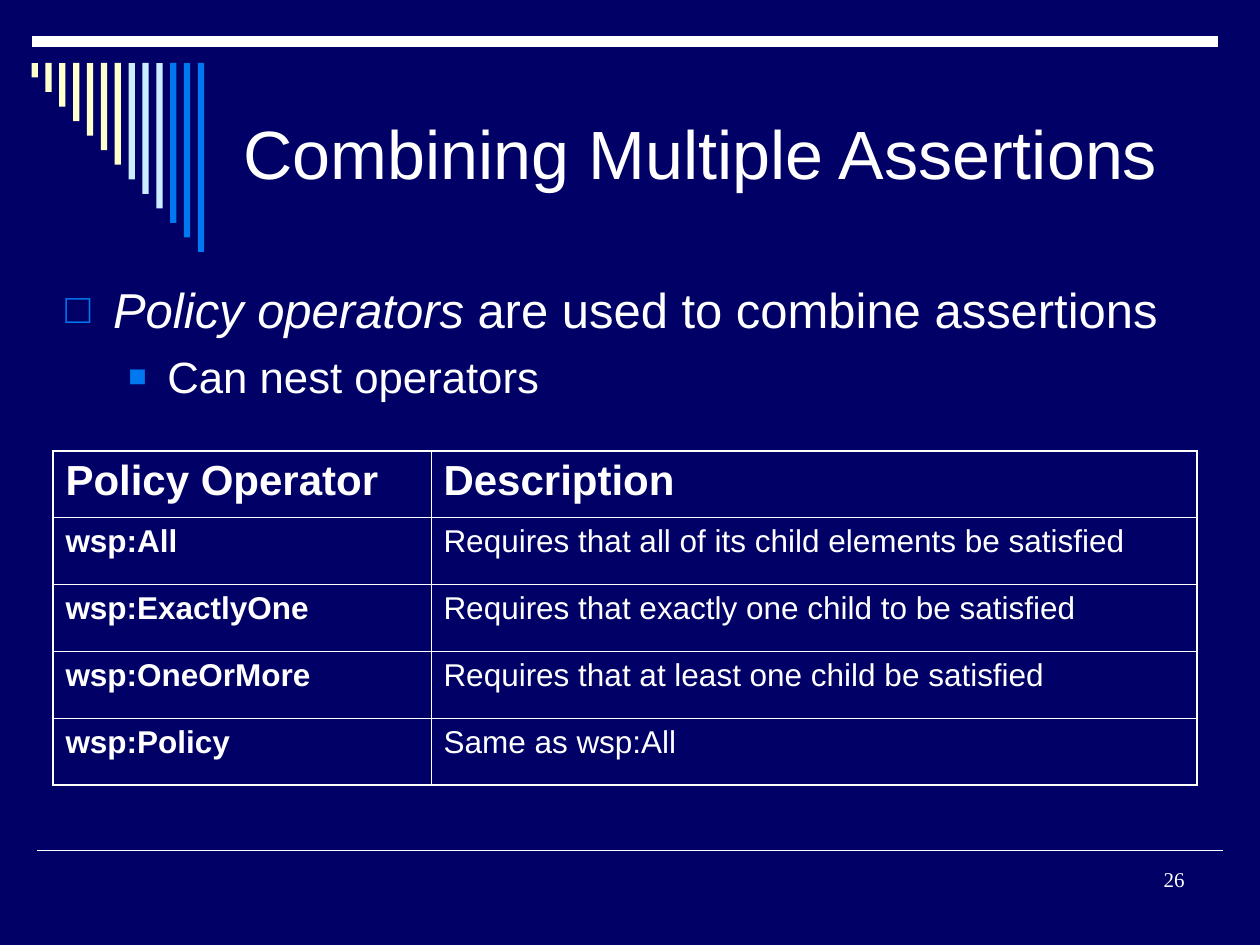
from lxml.etree import SubElement
from pptx import Presentation
from pptx.dml.color import RGBColor
from pptx.enum.shapes import MSO_CONNECTOR, MSO_SHAPE
from pptx.enum.text import MSO_ANCHOR, PP_ALIGN
from pptx.oxml.ns import qn
from pptx.util import Inches, Pt

COLORS = {"navy": "000066", "white": "FFFFFF", "cream": "FFFFCC",
          "pale": "CCECFF", "blue": "0078F0"}
TITLE = "Combining Multiple Assertions"
BULLETS = [
    {"spans": [("Policy operators", True), (" are used to combine assertions", False)],
     "level": 0, "size": 28, "before": 7, "margin": 0.38, "indent": -0.38,
     "symbol": "□", "percent": 85},
    {"spans": [("Can nest operators", False)],
     "level": 1, "size": 25, "before": 6.2, "margin": 0.81, "indent": -0.31,
     "symbol": "■", "percent": 70},
]
OPERATORS = [
    ("Policy Operator", "Description"),
    ("wsp:All", "Requires that all of its child elements be satisfied"),
    ("wsp:ExactlyOne", "Requires that exactly one child to be satisfied"),
    ("wsp:OneOrMore", "Requires that at least one child be satisfied"),
    ("wsp:Policy", "Same as wsp:All"),
]
PAGE_NUMBER = "26"
STRIPES = ["cream"] * 7 + ["pale"] * 3 + ["blue"] * 3
RULES = [(0.29, 6.75, 9.71, 1), (0.25, 0.33, 9.67, 6)]  # left, top, right, points
COLUMN_WIDTHS = (3, 6.08)
ROW_HEIGHT = 0.53
OUTER_BORDER, INNER_BORDER = 1.08, 0.45


def rgb(name):
    return RGBColor.from_string(COLORS[name])


def add_span(para, text, size, name="Arial", **styles):
    span = para.add_run()
    span.text = text
    for key, value in {"size": Pt(size), "name": name, **styles}.items():
        setattr(span.font, key, value)
    span.font.color.rgb = rgb("white")


def add_text_box(page, left, top, width, height):
    box = page.shapes.add_textbox(*map(Inches, (left, top, width, height)))
    box.text_frame.word_wrap = True
    return box.text_frame


def add_rules(page):
    for left, top, right, points in RULES:
        rule = page.shapes.add_connector(
            MSO_CONNECTOR.STRAIGHT, *map(Inches, (left, top, right, top)))
        rule.line.color.rgb = rgb("white")
        rule.line.width = Pt(points)
        SubElement(rule.element.spPr, qn("a:effectLst"))


def add_stripes(page):
    for index, color in enumerate(STRIPES):
        stripe = page.shapes.add_shape(
            MSO_SHAPE.RECTANGLE, Inches(0.25 + 0.11 * index), Inches(0.5),
            Inches(0.05), Inches(1.5 * (index + 1) / len(STRIPES)))
        stripe.shadow.inherit = False
        stripe.fill.solid()
        stripe.fill.fore_color.rgb = rgb(color)
        stripe.line.fill.background()


def add_title(page):
    title = page.shapes.title
    title.left, title.top, title.width, title.height = map(
        Inches, (1.83, 0.5, 7.67, 1.42))
    title.text_frame.vertical_anchor = MSO_ANCHOR.MIDDLE
    para = title.text_frame.paragraphs[0]
    para.alignment = PP_ALIGN.LEFT
    add_span(para, TITLE, 39)


def set_bullet(para, item):
    properties = para._p.get_or_add_pPr()
    properties.set("marL", str(Inches(item["margin"])))
    properties.set("indent", str(Inches(item["indent"])))
    color = SubElement(properties, qn("a:buClr"))
    SubElement(color, qn("a:srgbClr"), val=COLORS["blue"])
    SubElement(properties, qn("a:buSzPct"), val=str(item["percent"] * 1000))
    SubElement(properties, qn("a:buFont"), typeface="Arial")
    SubElement(properties, qn("a:buChar"), char=item["symbol"])


def add_bullets(page):
    frame = add_text_box(page, 0.42, 2.17, 9, 1.5)
    for index, item in enumerate(BULLETS):
        para = frame.add_paragraph() if index else frame.paragraphs[0]
        para.level = item["level"]
        para.space_before = Pt(item["before"])
        set_bullet(para, item)
        for text, italic in item["spans"]:
            add_span(para, text, item["size"], italic=italic)


def set_borders(cell, outer_sides):
    """Draw all four sides, the ones on the table's edge heavier."""
    properties = cell._tc.get_or_add_tcPr()
    for side, outer in outer_sides.items():
        width = Pt(OUTER_BORDER if outer else INNER_BORDER)
        border = SubElement(properties, qn(f"a:ln{side}"), w=str(width))
        fill = SubElement(border, qn("a:solidFill"))
        SubElement(fill, qn("a:srgbClr"), val=COLORS["white"])


def add_operator_table(page):
    rows, columns = len(OPERATORS), len(COLUMN_WIDTHS)
    table = page.shapes.add_table(
        rows, columns, Inches(0.42), Inches(3.58),
        Inches(sum(COLUMN_WIDTHS)), Inches(ROW_HEIGHT * rows)).table
    for column, width in zip(table.columns, COLUMN_WIDTHS):
        column.width = Inches(width)
    for r, texts in enumerate(OPERATORS):
        table.rows[r].height = Inches(ROW_HEIGHT)
        header = r == 0
        for c, text in enumerate(texts):
            cell = table.cell(r, c)
            set_borders(cell, {"L": c == 0, "R": c == columns - 1,
                               "T": header, "B": r == rows - 1})
            cell.fill.background()
            para = cell.text_frame.paragraphs[0]
            para.space_before = Pt(6 if header else 4.5)
            add_span(para, text, 24 if header else 18, bold=header or c == 0)


def add_page_number(page):
    para = add_text_box(page, 7.17, 6.83, 2.33, 0.5).paragraphs[0]
    para.alignment = PP_ALIGN.RIGHT
    add_span(para, PAGE_NUMBER, 12, "Times New Roman")


def main():
    deck = Presentation()
    deck.slide_width, deck.slide_height = Inches(10), Inches(7.5)
    page = deck.slides.add_slide(deck.slide_layouts[5])
    page.background.fill.solid()
    page.background.fill.fore_color.rgb = rgb("navy")
    for add_part in (add_rules, add_stripes, add_title, add_bullets,
                     add_operator_table, add_page_number):
        add_part(page)
    deck.save("out.pptx")


if __name__ == "__main__":
    main()
